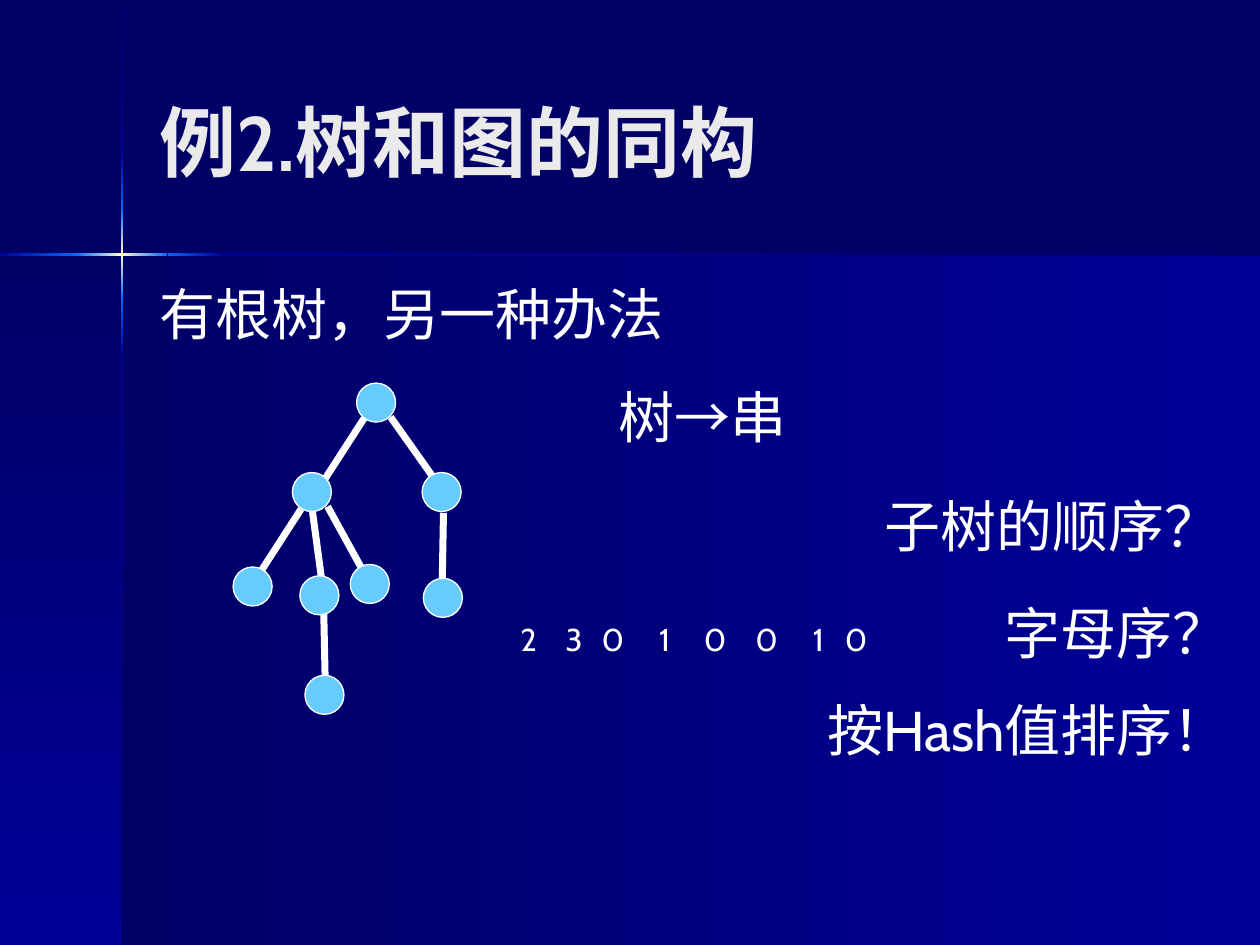
from copy import deepcopy

from lxml.etree import SubElement
from pptx import Presentation
from pptx.dml.color import RGBColor
from pptx.enum.shapes import MSO_CONNECTOR, MSO_SHAPE
from pptx.enum.text import MSO_ANCHOR, PP_ALIGN
from pptx.oxml.ns import qn
from pptx.util import Inches, Pt

NAVY, BLUE, GLOW, CREAM = "000066", "000099", "0066FF", "FFFFCC"
LEFTWARD, DOWNWARD = 180, 270
FLARE = [GLOW, CREAM, GLOW]

PANELS = [
    (0.97, 2.02, 9.03, 5.48, [BLUE, NAVY], LEFTWARD),
    (0, 2.02, 0.97, 5.48, [NAVY, BLUE], DOWNWARD),
]
VERTICAL_RULE = [
    (0.01, 1.21, [NAVY, BLUE]),
    (2.82, 7.5, [BLUE, NAVY]),
    (2.38, 2.82, [GLOW, BLUE]),
    (1.21, 1.65, [BLUE, GLOW]),
    (1.65, 2.38, FLARE),
]
HORIZONTAL_RULE = [
    (1.77, 10, [NAVY, BLUE]),
    (0, 0.61, [GLOW, BLUE]),
    (1.33, 1.77, [BLUE, GLOW]),
    (0.6, 1.33, FLARE),
]
EDGES = [
    (2.89, 3.32, 2.58, 3.8), (3.1, 3.31, 3.44, 3.79),
    (2.39, 4.04, 2.08, 4.52), (2.48, 4.06, 2.55, 4.58),
    (2.6, 4.02, 2.87, 4.51), (3.52, 4.07, 3.51, 4.61),
    (2.57, 4.87, 2.58, 5.36),
]
NODES = [
    (2.32, 3.75), (2.83, 3.04), (3.35, 3.75), (3.36, 4.59),
    (2.78, 4.48), (2.38, 4.57), (1.85, 4.5), (2.42, 5.36),
]
CHILD_COUNTS = zip("23010010", (3.99, 4.35, 4.66, 5.07, 5.47, 5.88, 6.29, 6.59))
REMARKS = [
    (6.71, 3.85, 3.29, "子树的顺序？"),
    (7.72, 4.7, 2.28, "字母序？"),
    (6.29, 5.47, 3.74, "按Hash值排序！"),
]


def rgb(value):
    return RGBColor.from_string(value)


class SlideBuilder:
    """Holds the style and the current slide, and adds each kind of element."""

    latin, cjk = "Cabin", "Noto Sans CJK SC"
    white, node_fill = "FFFFFF", "66CCFF"
    node_size, rule_width = 0.31, 0.02

    def __init__(self, s):
        self.s = s

    def background(self, color):
        fill = self.s.background.fill
        fill.solid()
        fill.fore_color.rgb = rgb(color)

    def shape(self, kind, *box):
        sp = self.s.shapes.add_shape(kind, *map(Inches, box))
        sp.shadow.inherit = False
        return sp

    def gradient(self, x, y, w, h, colors, angle):
        sp = self.shape(MSO_SHAPE.RECTANGLE, x, y, w, h)
        sp.line.fill.background()
        sp.fill.gradient()
        sp.fill.gradient_angle = angle
        stop_list = sp._element.xpath(".//a:gsLst")[0]
        for _ in colors[2:]:
            stop_list.append(deepcopy(stop_list[0]))
        for i, (stop, color) in enumerate(zip(sp.fill.gradient_stops, colors)):
            stop.color.rgb = rgb(color)
            stop.position = i / (len(colors) - 1)

    def node(self, x, y):
        sp = self.shape(MSO_SHAPE.OVAL, x, y, self.node_size, self.node_size)
        sp.fill.solid()
        sp.fill.fore_color.rgb = rgb(self.node_fill)
        sp.line.color.rgb = rgb(self.white)
        sp.line.width = Pt(0.75)

    def edge(self, *ends):
        line = self.s.shapes.add_connector(MSO_CONNECTOR.STRAIGHT, *map(Inches, ends))
        line.line.color.rgb = rgb(self.white)
        line.line.width = Pt(4)
        SubElement(line._element.spPr, qn("a:effectLst"))

    def text(self, x, y, w, h, runs, size=32, color=white, bold=False,
             align=PP_ALIGN.CENTER, anchor=MSO_ANCHOR.TOP, before=20):
        tf = self.s.shapes.add_textbox(*map(Inches, (x, y, w, h))).text_frame
        tf.word_wrap = True
        tf.vertical_anchor = anchor
        p = tf.paragraphs[0]
        p.alignment = align
        p.space_before = Pt(before)
        for words, face in runs:
            r = p.add_run()
            r.text = words
            r.font.color.rgb = rgb(color)
            for name, value in {"size": Pt(size), "bold": bold, "name": face}.items():
                setattr(r.font, name, value)
            SubElement(r.font._element, qn("a:ea"), typeface=self.cjk)


def main():
    prs = Presentation()
    prs.slide_width, prs.slide_height = Inches(10), Inches(7.5)
    b = SlideBuilder(prs.slides.add_slide(prs.slide_layouts[6]))

    b.background(NAVY)
    for panel in PANELS:
        b.gradient(*panel)
    for top, bottom, colors in VERTICAL_RULE:
        b.gradient(0.96, top, b.rule_width, bottom - top, colors, DOWNWARD)
    for left, right, colors in HORIZONTAL_RULE:
        b.gradient(left, 2.01, right - left, b.rule_width, colors, LEFTWARD)

    b.text(1.17, 0.33, 8.25, 1.57, [("例2.树和图的同构", b.latin)], size=44, color="EAEAEA",
           bold=True, align=PP_ALIGN.LEFT, anchor=MSO_ANCHOR.MIDDLE, before=0)
    b.text(1.17, 2.17, 8.25, 0.71, [("有根树，另一种办法", b.latin)],
           align=PP_ALIGN.LEFT, before=8)

    for edge in EDGES:
        b.edge(*edge)
    for node in NODES:
        b.node(*node)

    b.text(4.56, 2.99, 2.03, 0.64, [("树", b.latin), ("→串", b.cjk)])
    for digit, x in CHILD_COUNTS:
        b.text(x, 4.87, 0.41, 0.4, [(digit, b.latin)], size=18, before=11.2)
    for x, y, w, words in REMARKS:
        b.text(x, y, w, 0.64, [(words, b.latin)])

    prs.save("out.pptx")


if __name__ == "__main__":
    main()
